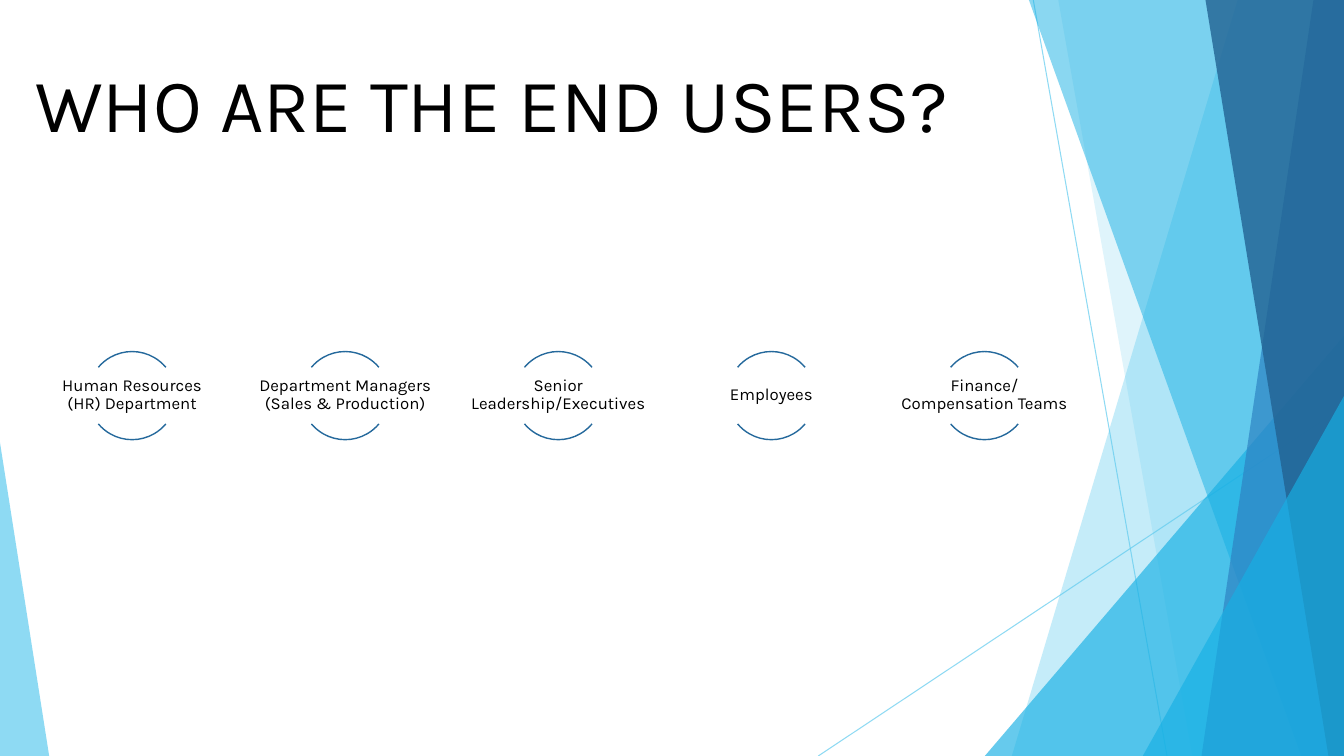
from lxml import etree
from pptx import Presentation
from pptx.dml.color import RGBColor
from pptx.enum.shapes import MSO_CONNECTOR, MSO_SHAPE
from pptx.enum.text import MSO_ANCHOR, MSO_AUTO_SIZE, PP_ALIGN
from pptx.oxml.ns import qn
from pptx.util import Cm, Pt

STRAIGHT = MSO_CONNECTOR.STRAIGHT
TRIANGLE = MSO_SHAPE.ISOSCELES_TRIANGLE
ARC = MSO_SHAPE.ARC
MIDDLE = MSO_ANCHOR.MIDDLE
CENTER = PP_ALIGN.CENTER
GROW = MSO_AUTO_SIZE.SHAPE_TO_FIT_TEXT

WIDTH, HEIGHT = 33.87, 19.05
SKY, CYAN, BLUE, NAVY = "5FCBEF", "17B0E4", "2E83C3", "226292"


def paint(shape, fill, color, opacity=100):
    fill.solid()
    fill.fore_color.rgb = RGBColor.from_string(color)
    if opacity < 100:
        for node in shape.element.spPr.iter(qn("a:srgbClr")):
            etree.SubElement(node, qn("a:alpha"), val=str(opacity * 1000))


def add_text(text, left, top, width, height, size):
    box = slide.shapes.add_textbox(Cm(left), Cm(top), Cm(width), Cm(height))
    box.text_frame.word_wrap = True
    paragraph = box.text_frame.paragraphs[0]
    run = paragraph.add_run()
    run.text = text
    run.font.name = "Karla"
    run.font.size = Pt(size)
    run.font.color.rgb = RGBColor.from_string("000000")
    return box.text_frame


presentation = Presentation()
presentation.slide_width = Cm(WIDTH)
presentation.slide_height = Cm(HEIGHT)
slide = presentation.slides.add_slide(presentation.slide_layouts[6])

for x1, y1, x2, y2 in [(26.04, 0, 29.41, HEIGHT), (WIDTH, 10.24, 20.62, HEIGHT)]:
    connector = slide.shapes.add_connector(STRAIGHT, Cm(x1), Cm(y1), Cm(x2), Cm(y2))
    connector.line.width = Pt(0.75)
    paint(connector, connector.line.fill, SKY, 70)
    etree.SubElement(connector.element.spPr, qn("a:effectLst"))

facets = [
    ("band", (31.19, 25.5), SKY, 36),
    ("band", (26.67, 30.05), SKY, 20),
    ("triangle", (24.82, 8.46, 9.05, 1), CYAN, 66),
    ("band", (25.93, 32.79), CYAN, 50),
    ("band", (33.1, 30.28), BLUE, 70),
    ("band", (30.38, 33.48), NAVY, 80),
    ("triangle", (28.8, 9.98, 5.07, 1), CYAN, 66),
    ("triangle", (0, 11.15, 1.24, 0), SKY, 70),
]
for kind, geometry, color, opacity in facets:
    if kind == "band":
        top_x, bottom_x = geometry
        outline = slide.shapes.build_freeform(Cm(top_x), Cm(0))
        corners = [(WIDTH, 0), (WIDTH, HEIGHT), (bottom_x, HEIGHT)]
        outline.add_line_segments([(Cm(x), Cm(y)) for x, y in corners], close=True)
        facet = outline.convert_to_shape()
    else:
        left, top, width, apex = geometry
        facet = slide.shapes.add_shape(TRIANGLE, Cm(left), Cm(top), Cm(width), Cm(HEIGHT - top))
        facet.adjustments[0] = apex
    facet.shadow.inherit = False
    facet.line.fill.background()
    paint(facet, facet.fill, color, opacity)

title = add_text("WHO ARE THE END USERS?", 0.64, 1.3, 24.64, 2.57, 54)
title.auto_size = GROW

end_users = [
    "Human Resources (HR) Department",
    "Department Managers (Sales & Production)",
    "Senior Leadership/Executives",
    "Employees",
    "Finance/Compensation Teams",
]
FIRST_CENTER, PITCH = 3.33, 5.37
DIAMETER, LABEL_WIDTH = 2.22, 4.45
for index, end_user in enumerate(end_users):
    center = FIRST_CENTER + index * PITCH
    for start, end in [(132, 192), (24, 84)]:
        arc = slide.shapes.add_shape(
            ARC, Cm(center - DIAMETER / 2), Cm(8.86), Cm(DIAMETER), Cm(DIAMETER))
        arc.adjustments[0] = start
        arc.adjustments[1] = end
        arc.shadow.inherit = False
        arc.fill.background()
        arc.line.width = Pt(1)
        paint(arc, arc.line.fill, "25699C")
    label = add_text(end_user, center - LABEL_WIDTH / 2, 9.25, LABEL_WIDTH, 1.42, 12)
    label.vertical_anchor = MIDDLE
    label.margin_left = label.margin_right = Cm(0.03)
    label.margin_top = label.margin_bottom = Cm(0.03)
    label.paragraphs[0].alignment = CENTER
    label.paragraphs[0].line_spacing = 0.9

presentation.save("out.pptx")
